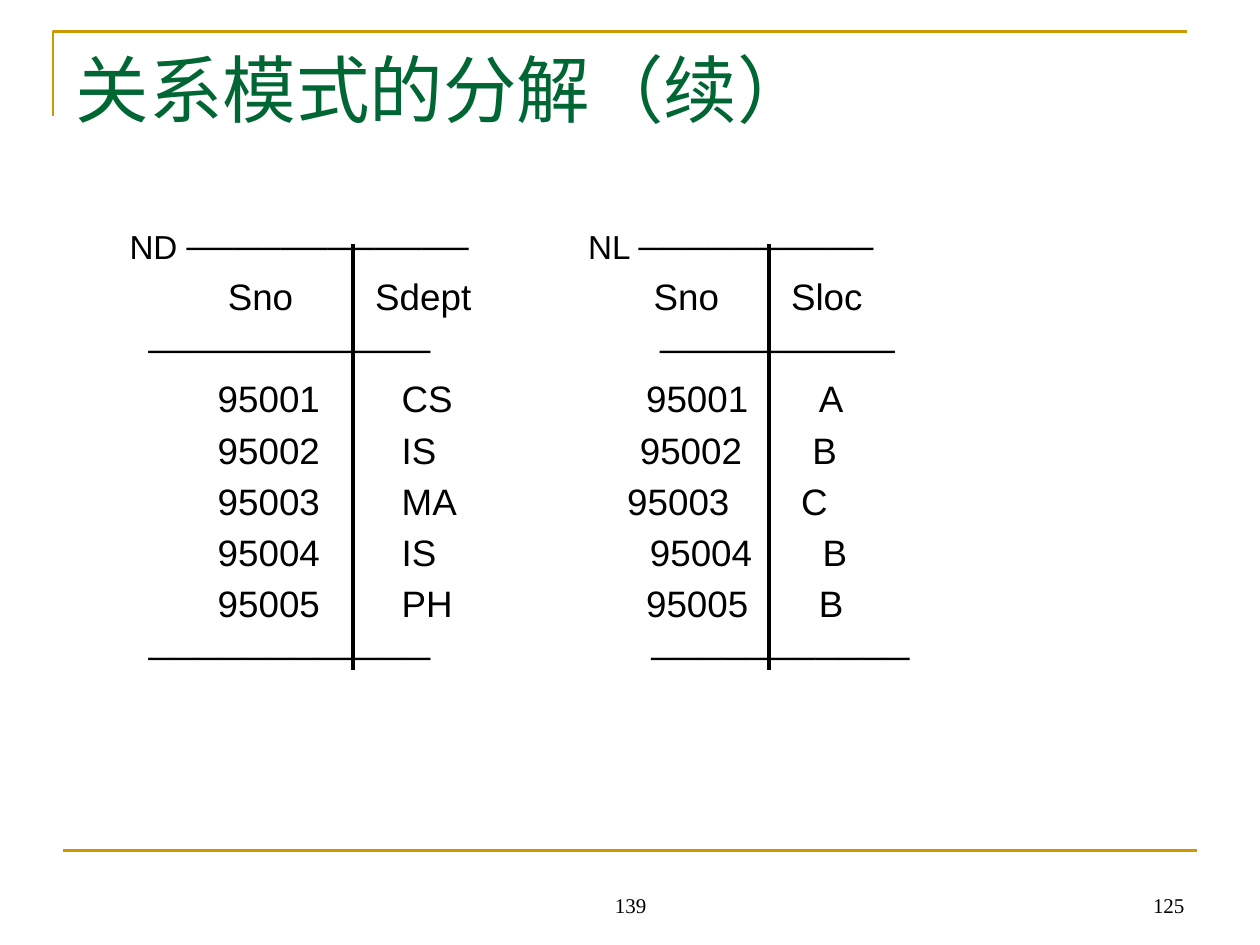
from dataclasses import dataclass

from pptx import Presentation, util as u
from pptx.dml.color import RGBColor
from pptx.enum import shapes, text
from pptx.oxml import ns
from lxml import etree


@dataclass(frozen=True)
class Theme:
    """Colours, fonts and type sizes of the deck."""
    gold: str = "CC9900"
    green: str = "006633"
    black: str = "000000"
    serif: str = "Times New Roman"
    sans: str = "Arial"
    title: float = 42
    cell: float = 21
    rule: float = 19
    number: float = 12


class SlideBuilder:
    """Draws on one slide with a grid of 100 columns by 75 rows."""

    def __init__(self, deck, theme):
        """Add a title-only slide and keep its grid unit."""
        self.theme = theme
        self.slide = deck.slides.add_slide(deck.slide_layouts[5])
        self.unit = deck.slide_width / 100

    def grid(self, *cells):
        """Turn grid cells into lengths."""
        return [u.Emu(round(cell * self.unit)) for cell in cells]

    def style(self, paragraph, size, face, color):
        """Format every run of a paragraph."""
        for run in paragraph.runs:
            run.font.size = u.Pt(size)
            run.font.name = face
            run.font.color.rgb = RGBColor.from_string(color)

    def frame(self, shape, anchor):
        """Prepare a text frame with wrapping and a fixed size."""
        frame = shape.text_frame
        frame.word_wrap = True
        frame.auto_size = text.MSO_AUTO_SIZE.NONE
        frame.vertical_anchor = anchor
        return frame

    def line(self, start, end, color, width):
        """Draw a straight line between two grid points."""
        line = self.slide.shapes.add_connector(
            shapes.MSO_CONNECTOR.STRAIGHT, *self.grid(*start, *end))
        line.line.color.rgb = RGBColor.from_string(color)
        line.line.width = u.Pt(width)
        etree.SubElement(line._element.spPr, ns.qn("a:effectLst"))

    def corner(self, points, color, width):
        """Draw an open outline through grid points."""
        first, *rest = [self.grid(*point) for point in points]
        builder = self.slide.shapes.build_freeform(*first)
        builder.add_line_segments(rest, close=False)
        outline = builder.convert_to_shape()
        outline.shadow.inherit = False
        outline.fill.background()
        outline.line.color.rgb = RGBColor.from_string(color)
        outline.line.width = u.Pt(width)

    def title(self, wording, box):
        """Fill the title placeholder."""
        title = self.slide.shapes.title
        title.left, title.top, title.width, title.height = self.grid(*box)
        frame = self.frame(title, text.MSO_ANCHOR.TOP)
        frame.text = wording
        heading = frame.paragraphs[0]
        heading.alignment = text.PP_ALIGN.LEFT
        self.style(heading, self.theme.title, self.theme.serif, self.theme.green)

    def relations(self, rows, box):
        """Write tabbed rows of (size, stops, cells)."""
        frame = self.frame(self.slide.shapes.add_textbox(*self.grid(*box)),
                           text.MSO_ANCHOR.TOP)
        frame.text = "\n".join("\t" + "\t".join(cells) for _, _, cells in rows)
        text_left = box[0] + 1
        for index, (paragraph, (size, stops, _)) in enumerate(zip(frame.paragraphs, rows)):
            lead = 4.1 + 1.15 * (self.theme.cell - size)
            paragraph.space_before = u.Pt(lead if index else 0)
            tabs = etree.SubElement(paragraph._p.get_or_add_pPr(), ns.qn("a:tabLst"))
            for position in self.grid(*(stop - text_left for stop in stops)):
                etree.SubElement(tabs, ns.qn("a:tab"), pos=str(position), algn="l")
            self.style(paragraph, size, self.theme.sans, self.theme.black)
            for run in paragraph.runs:
                etree.SubElement(run.font._element, ns.qn("a:ea"), typeface=self.theme.sans)

    def number(self, wording, box, alignment):
        """Write a page number at the foot."""
        frame = self.frame(self.slide.shapes.add_textbox(*self.grid(*box)),
                           text.MSO_ANCHOR.BOTTOM)
        frame.text = wording
        frame.paragraphs[0].alignment = alignment
        self.style(frame.paragraphs[0], self.theme.number, self.theme.serif, self.theme.black)


def relation_rows(theme):
    """List the rows of the ND and NL relations with their tab stops."""
    wide, narrow = "─" * 12, "─" * 10
    records = [("95001", "CS", "A", 51.3, 65), ("95002", "IS", "B", 50.8, 64.5),
               ("95003", "MA", "C", 49.8, 63.6), ("95004", "IS", "B", 51.6, 65.3),
               ("95005", "PH", "B", 51.3, 65)]
    return [
        (theme.rule, (10.3, 46.7), (f"ND {wide}", f"NL {narrow}")),
        (theme.cell, (18.1, 29.8, 51.9, 62.8), ("Sno", "Sdept", "Sno", "Sloc")),
        (theme.rule, (11.8, 52.4), (wide, narrow)),
        *((theme.cell, (17.3, 31.9, sno_stop, sloc_stop), (sno, dept, sno, loc))
          for sno, dept, loc, sno_stop, sloc_stop in records),
        (theme.rule, (11.8, 51.7), (wide, "─" * 11)),
    ]


def main():
    """Build the slide on relation decomposition."""
    deck = Presentation()
    deck.slide_width, deck.slide_height = u.Inches(10), u.Inches(7.5)
    theme = Theme()
    page = SlideBuilder(deck, theme)
    page.corner([(4.2, 9.2), (4.2, 2.5), (94.2, 2.5)], theme.gold, 1.5)
    page.line((5, 67.5), (95, 67.5), theme.gold, 1.5)
    page.title("关系模式的分解（续）", (5, 3, 90, 12.5))
    page.relations(relation_rows(theme), (5.1, 17.5, 90, 49.5))
    for divider in (28, 61):
        page.line((divider, 19.4), (divider, 53.2), theme.black, 2.25)
    page.number("125", (71.7, 68.3, 23.3, 5), text.PP_ALIGN.RIGHT)
    page.number("139", (34.2, 68.3, 31.7, 5), text.PP_ALIGN.CENTER)
    deck.save("out.pptx")


if __name__ == "__main__":
    main()
